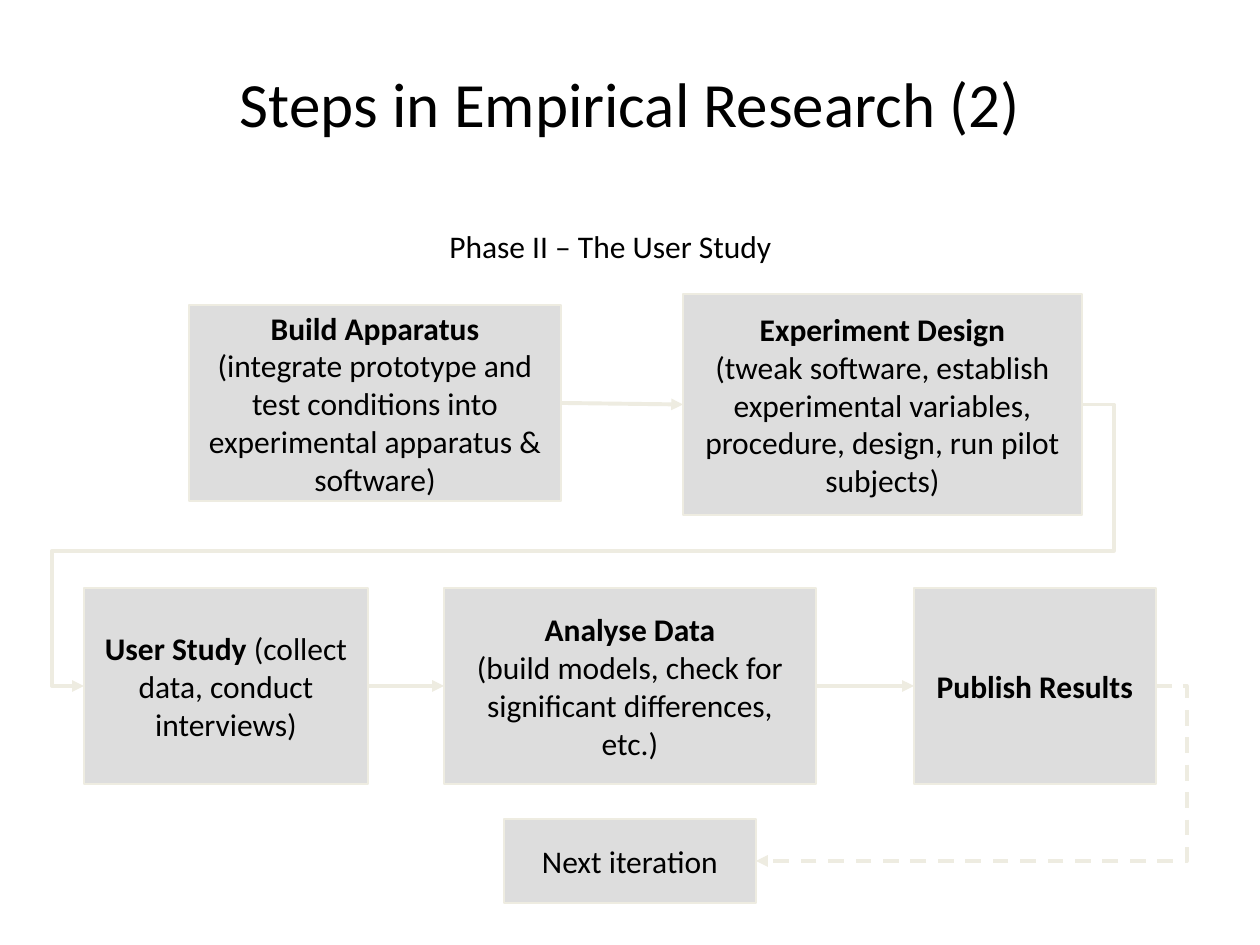
from lxml import etree
from pptx import Presentation
from pptx.dml.color import RGBColor
from pptx.enum.dml import MSO_LINE
from pptx.enum.shapes import MSO_CONNECTOR, MSO_SHAPE
from pptx.enum.text import MSO_ANCHOR, PP_ALIGN
from pptx.oxml.ns import qn
from pptx.util import Pt

PX = 914400 // 126
BLACK = RGBColor(0x00, 0x00, 0x00)
GRAY = RGBColor(0xDD, 0xDD, 0xDD)
CREAM = RGBColor(0xEE, 0xEC, 0xE1)
CENTER, LEFT, MIDDLE = PP_ALIGN.CENTER, PP_ALIGN.LEFT, MSO_ANCHOR.MIDDLE
RECTANGLE, DASH = MSO_SHAPE.RECTANGLE, MSO_LINE.DASH
STRAIGHT, ELBOW = MSO_CONNECTOR.STRAIGHT, MSO_CONNECTOR.ELBOW
LEFT_SITE, RIGHT_SITE = 1, 3

TITLE = "Steps in Empirical Research (2)"
PHASE = "Phase II – The User Study"
BOXES = {
    "build": ((189, 305, 372, 196), "Build Apparatus\n",
              "(integrate prototype and test conditions into experimental apparatus & software)"),
    "design": ((683, 294, 399, 221), "Experiment Design\n",
               "(tweak software, establish experimental variables, procedure, design, run pilot subjects)"),
    "study": ((84, 588, 284, 196), "User Study", " (collect data, conduct interviews)"),
    "analyse": ((444, 588, 372, 196), "Analyse Data\n",
                "(build models, check for significant differences, etc.)"),
    "publish": ((914, 588, 242, 196), "Publish Results", ""),
    "next": ((504, 819, 252, 84), "", "Next iteration"),
}
ARROWS = [("build", "design"), ("study", "analyse"), ("analyse", "publish")]
RETURN_BENDS = {"right": 1114, "middle": 551, "left": 52}
ITERATION_BEND = 1187


def px(*values):
    return [value * PX for value in values]


def add_text(paragraph, text, size=18, bold=False):
    parts = text.split("\n")
    for index, part in enumerate(parts):
        if index:
            paragraph.add_line_break()
        if part:
            run = paragraph.add_run()
            run.text = part
            run.font.color.rgb = BLACK
            for name, value in {"name": "Calibri", "size": Pt(size), "bold": bold}.items():
                setattr(run.font, name, value)


def add_box(slide, place, heading, detail):
    box = slide.shapes.add_shape(RECTANGLE, *px(*place))
    box.shadow.inherit = False
    box.fill.solid()
    box.fill.fore_color.rgb = GRAY
    box.line.color.rgb = CREAM
    box.line.width = Pt(1)
    box.text_frame.word_wrap = True
    box.text_frame.vertical_anchor = MIDDLE
    paragraph = box.text_frame.paragraphs[0]
    paragraph.alignment = CENTER
    add_text(paragraph, heading, bold=True)
    add_text(paragraph, detail)
    return box


def add_arrow(slide, kind, start, start_site, end, end_site):
    arrow = slide.shapes.add_connector(kind, 0, 0, 0, 0)
    arrow.begin_connect(start, start_site)
    arrow.end_connect(end, end_site)
    arrow.line.color.rgb = CREAM
    arrow.line.width = Pt(2.25)
    properties = arrow._element.spPr
    line = properties.find(qn("a:ln"))
    etree.SubElement(line, qn("a:tailEnd"), type="triangle")
    etree.SubElement(properties, qn("a:effectLst"))
    return arrow


def bend(arrow, preset, adjustments):
    geometry = arrow._element.spPr.find(qn("a:prstGeom"))
    geometry.set("prst", preset)
    guides = geometry.find(qn("a:avLst"))
    if guides is None:
        guides = etree.SubElement(geometry, qn("a:avLst"))
    for number, value in enumerate(adjustments, 1):
        etree.SubElement(guides, qn("a:gd"), name=f"adj{number}",
                         fmla=f"val {round(value * 100000)}")


def fraction(value, start, end):
    return (value * PX - start) / (end - start)


def main():
    presentation = Presentation()
    presentation.slide_width, presentation.slide_height = px(1260, 945)
    slide = presentation.slides.add_slide(presentation.slide_layouts[5])

    title = slide.shapes.title
    title.left, title.top, title.width, title.height = px(63, 38, 1134, 128)
    title.text_frame.vertical_anchor = MIDDLE
    title.text_frame.paragraphs[0].alignment = CENTER
    add_text(title.text_frame.paragraphs[0], TITLE, size=36)

    phase = slide.shapes.add_textbox(*px(437, 221, 394, 50))
    phase.text_frame.word_wrap = False
    phase.text_frame.paragraphs[0].alignment = LEFT
    add_text(phase.text_frame.paragraphs[0], PHASE)

    boxes = {name: add_box(slide, *content) for name, content in BOXES.items()}
    for start, end in ARROWS:
        add_arrow(slide, STRAIGHT, boxes[start], RIGHT_SITE, boxes[end], LEFT_SITE)

    back = add_arrow(slide, ELBOW, boxes["design"], RIGHT_SITE, boxes["study"], LEFT_SITE)
    bend(back, "bentConnector5", [
        fraction(RETURN_BENDS["right"], back.begin_x, back.end_x),
        fraction(RETURN_BENDS["middle"], back.begin_y, back.end_y),
        fraction(RETURN_BENDS["left"], back.begin_x, back.end_x),
    ])

    iteration = add_arrow(slide, ELBOW, boxes["publish"], RIGHT_SITE, boxes["next"], RIGHT_SITE)
    iteration.line.dash_style = DASH
    bend(iteration, "bentConnector3",
         [fraction(ITERATION_BEND, iteration.begin_x, iteration.end_x)])

    presentation.save("out.pptx")


if __name__ == "__main__":
    main()
